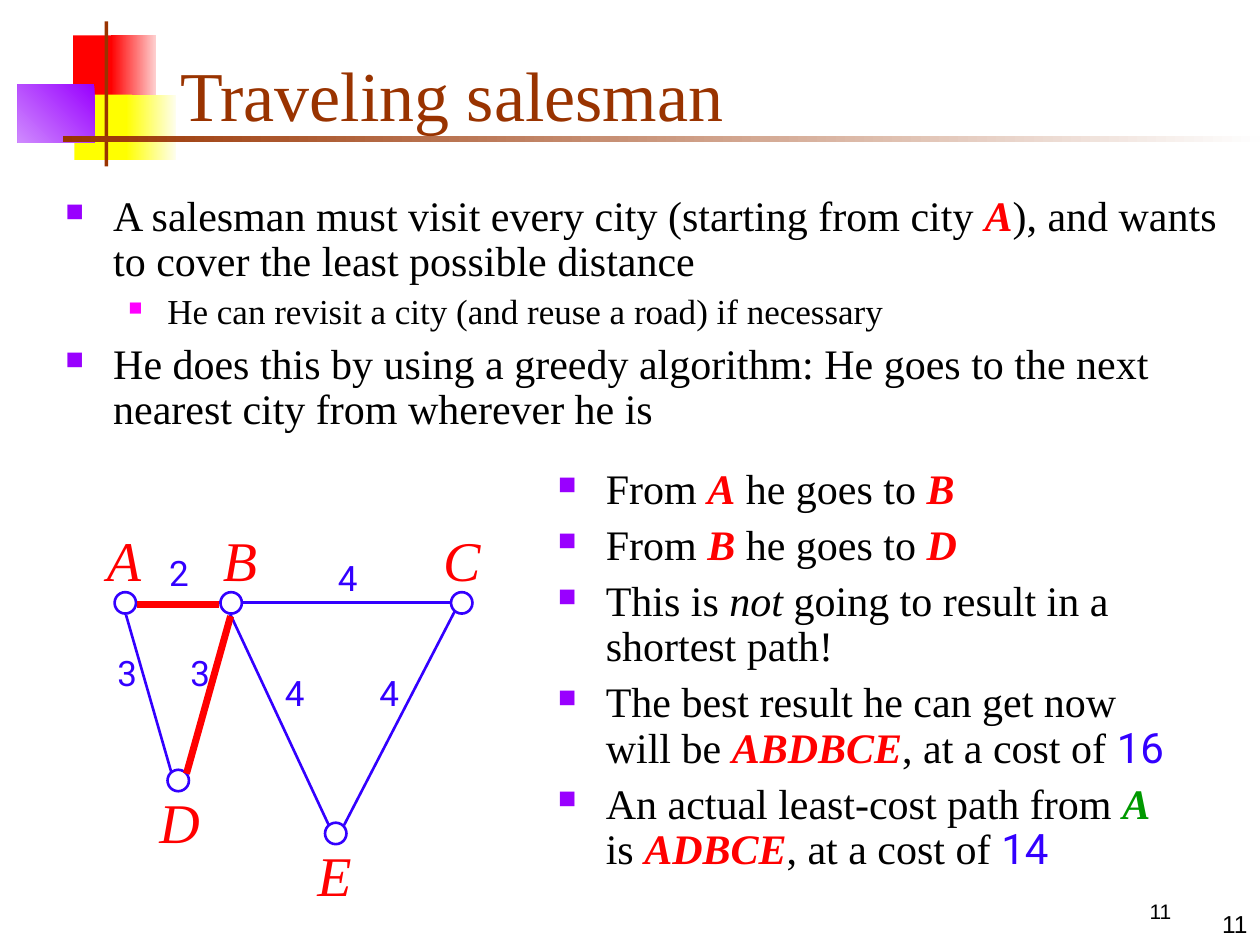
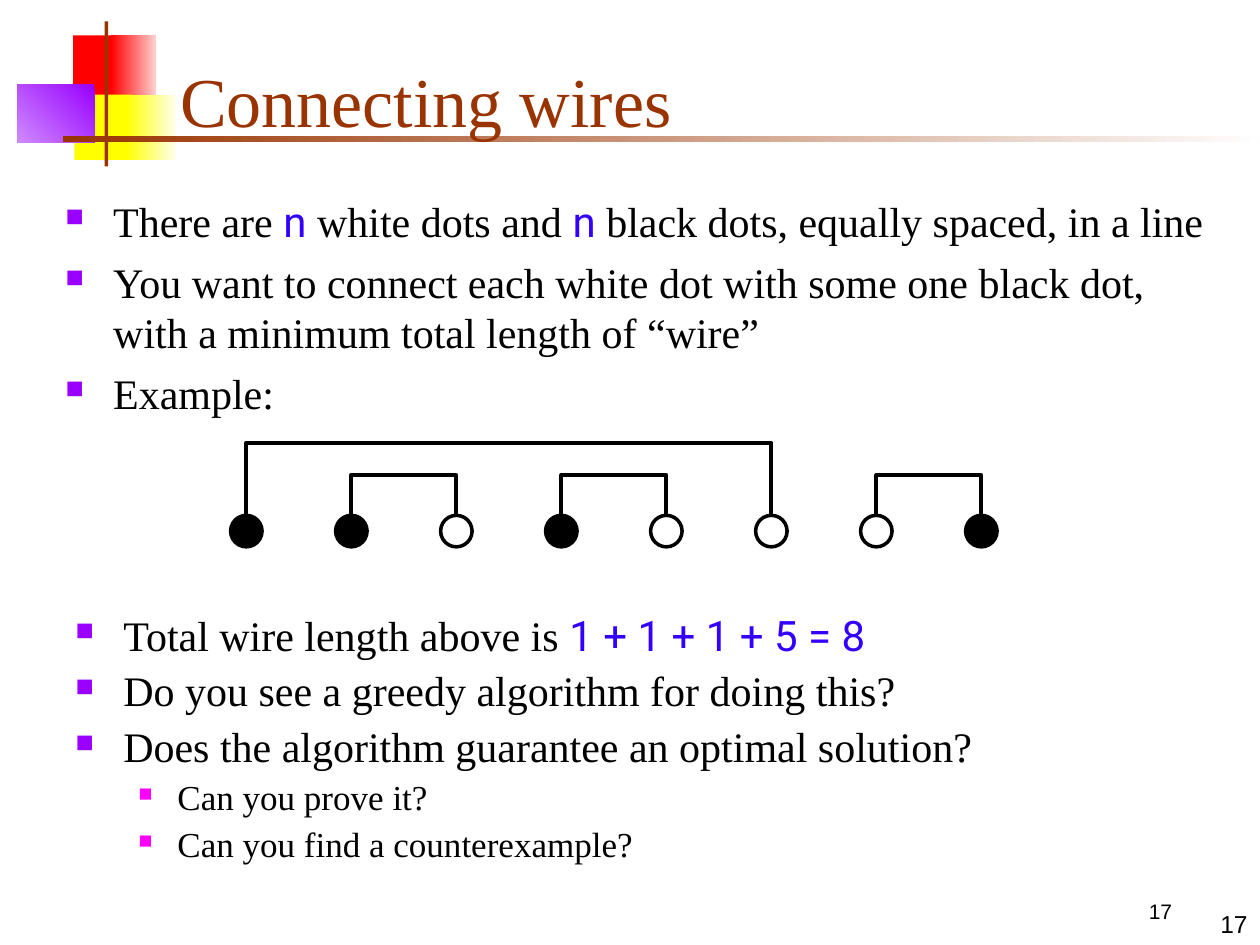
"""Build two lecture slides on greedy algorithms: travelling salesman and connecting wires."""
import pptx
import pptx.util
import pptx.dml.color
import pptx.enum.shapes
import pptx.enum.text
import pptx.oxml
import pptx.oxml.ns
from lxml import etree

Inches, Pt = pptx.util.Inches, pptx.util.Pt
RGB = pptx.dml.color.RGBColor.from_string
SHAPE = pptx.enum.shapes.MSO_SHAPE
CONNECTOR = pptx.enum.shapes.MSO_CONNECTOR
ANCHOR = pptx.enum.text.MSO_ANCHOR
ALIGN = pptx.enum.text.PP_ALIGN
qn = pptx.oxml.ns.qn

COLORS = {
    "black": "000000", "white": "FFFFFF", "brown": "993300", "red": "FF0000",
    "yellow": "FFFF00", "violet": "9900FF", "magenta": "FF00FF", "blue": "3300FF",
    "green": "009900", "pale red": "FED0D0", "pale yellow": "FEFEEF",
    "pale violet": "CF8AFE", "pale grey": "FEFEFE",
}
SERIF, SANS, DIGITS = "Times New Roman", "Arial", "Roboto"
RUN_STYLES = {
    "city": {"color": "red", "bold": True, "italic": True},
    "best": {"color": "green", "bold": True, "italic": True},
    "stress": {"italic": True},
    "number": {"color": "blue", "font": DIGITS},
}
BULLETS = [
    {"size": 24, "indent": 0.38, "hang": 0.38, "before": 6, "color": "violet", "percent": 60},
    {"size": 20, "indent": 0.81, "hang": 0.31, "before": 5, "color": "magenta", "percent": 55},
]
DECORATION = [
    (0.58, 0.28, 0.35, 0.52, "red", None, 0),
    (0.88, 0.28, 0.36, 0.52, "pale red", "red", 180),
    (0.59, 0.75, 0.46, 0.52, "yellow", None, 0),
    (1, 0.75, 0.4, 0.52, "pale yellow", "yellow", 180),
    (0.14, 0.67, 0.61, 0.46, "violet", "pale violet", 225),
    (0.83, 0.17, 0.03, 1.15, "brown", None, 0),
    (0.5, 1.08, 9.5, 0.05, "pale grey", "brown", 180),
]


def write(holder, text, box, size=24, font=SERIF, color="black", italic=False,
          align=ALIGN.LEFT, anchor=ANCHOR.TOP, wrap=True, bulleted=False, spacing=None):
    """Place a text holder and fill it; text is a string or a list of (level, runs)."""
    holder.left, holder.top, holder.width, holder.height = map(Inches, box)
    frame = holder.text_frame
    frame.word_wrap = wrap
    frame.auto_size = pptx.enum.text.MSO_AUTO_SIZE.NONE
    frame.vertical_anchor = anchor
    lines = [(0, [text])] if isinstance(text, str) else text
    for number, (level, runs) in enumerate(lines):
        paragraph = frame.add_paragraph() if number else frame.paragraphs[0]
        paragraph.alignment = align
        paragraph.level = level
        if spacing:
            paragraph.line_spacing = spacing
        if bulleted:
            bullet = BULLETS[level]
            size = bullet["size"]
            paragraph.space_before = Pt(bullet["before"])
            properties = paragraph._p.get_or_add_pPr()
            properties.set("marL", str(Inches(bullet["indent"])))
            properties.set("indent", str(-Inches(bullet["hang"])))
            tint = etree.SubElement(properties, qn("a:buClr"))
            etree.SubElement(tint, qn("a:srgbClr"), val=COLORS[bullet["color"]])
            etree.SubElement(properties, qn("a:buSzPct"), val=str(bullet["percent"] * 1000))
            etree.SubElement(properties, qn("a:buChar"), char="■")
        for piece in runs:
            words, style = (piece, {}) if isinstance(piece, str) else (piece[0], RUN_STYLES[piece[1]])
            run = paragraph.add_run()
            run.text = words
            run.font.size = Pt(size)
            run.font.name = style.get("font", font)
            run.font.bold = style.get("bold", False)
            run.font.italic = style.get("italic", italic)
            run.font.color.rgb = RGB(COLORS[style.get("color", color)])


def connect(slide, kind, ends, color, weight):
    """Draw a shadowless connector between two points and return it."""
    line = slide.shapes.add_connector(kind, *map(Inches, ends))
    line.line.color.rgb = RGB(COLORS[color])
    line.line.width = Pt(weight)
    etree.SubElement(line._element.spPr, qn("a:effectLst"))
    return line


deck = pptx.Presentation()
deck.slide_width, deck.slide_height = Inches(10), Inches(7.5)

slides = []
for heading, page, title_box, title_anchor in [
    ("Traveling salesman", "11", (1.33, 0.33, 8.52, 0.83), ANCHOR.MIDDLE),
    ("Connecting wires", "17", (1.33, 0.25, 8.52, 0.92), ANCHOR.BOTTOM),
]:
    slide = deck.slides.add_slide(deck.slide_layouts[5])
    slides.append(slide)
    for left, top, width, height, start, end, angle in DECORATION:
        block = slide.shapes.add_shape(SHAPE.RECTANGLE, *map(Inches, (left, top, width, height)))
        block.shadow.inherit = False
        block.line.fill.background()
        if end:
            block.fill.gradient()
            block.fill.gradient_angle = angle
            for stop, tone in zip(block.fill.gradient_stops, (start, end)):
                stop.color.rgb = RGB(COLORS[tone])
        else:
            block.fill.solid()
            block.fill.fore_color.rgb = RGB(COLORS[start])
    title = slide.shapes.title
    title._element.getparent().append(title._element)
    write(title, heading, title_box, size=40, color="brown", anchor=title_anchor)
    for box, size, align, anchor in [
        ((8.67, 7.08, 1.08, 0.33), 12, ALIGN.CENTER, ANCHOR.TOP),
        ((7.92, 7, 2.08, 0.5), 14, ALIGN.RIGHT, ANCHOR.BOTTOM),
    ]:
        write(slide.shapes.add_textbox(0, 0, 0, 0), page, box, size=size, font=SANS,
              align=align, anchor=anchor)

salesman, wires = slides

problem = [
    (0, ["A salesman must visit every city (starting from city ", ("A", "city"),
         "), and wants to cover the least possible distance"]),
    (1, ["He can revisit a city (and reuse a road) if necessary"]),
    (0, ["He does this by using a greedy algorithm: He goes to the next nearest city "
         "from wherever he is"]),
]
journey = [
    (0, ["From ", ("A", "city"), " he goes to ", ("B", "city")]),
    (0, ["From ", ("B", "city"), " he goes to ", ("D", "city")]),
    (0, ["This is ", ("not", "stress"), " going to result in a shortest path!"]),
    (0, ["The best result he can get now will be ", ("ABDBCE", "city"), ", at a cost of ",
         ("16", "number")]),
    (0, ["An actual least-cost path from ", ("A", "best"), " is ", ("ADBCE", "city"),
         ", at a cost of ", ("14", "number")]),
]
task = [
    (0, ["There are ", ("n", "number"), " white dots and ", ("n", "number"),
         " black dots, equally spaced, in a line"]),
    (0, ["You want to connect each white dot with some one black dot, "
         "with a minimum total length of “wire”"]),
    (0, ["Example:"]),
]
questions = [
    (0, ["Total wire length above is ", ("1 + 1 + 1 + 5 = 8", "number")]),
    (0, ["Do you see a greedy algorithm for doing this?"]),
    (0, ["Does the algorithm guarantee an optimal solution?"]),
    (1, ["Can you prove it?"]),
    (1, ["Can you find a counterexample?"]),
]
for slide, points, box, spacing in [
    (salesman, problem, (0.42, 1.5, 9.38, 2.15), 0.9),
    (salesman, journey, (4.33, 3.67, 5.17, 3.5), 0.9),
    (wires, task, (0.42, 1.5, 9.38, 2.15), None),
    (wires, questions, (0.5, 4.83, 8.75, 2.25), 0.9),
]:
    write(slide.shapes.add_textbox(0, 0, 0, 0), points, box, bulleted=True, spacing=spacing)

for city, x, y, label_x, label_y in [
    ("A", 0.91, 4.7, 0.75, 4.12),
    ("B", 1.75, 4.7, 1.67, 4.12),
    ("C", 3.58, 4.7, 3.43, 4.12),
    ("D", 1.33, 6.11, 1.19, 6.2),
    ("E", 2.58, 6.53, 2.42, 6.62),
]:
    node = salesman.shapes.add_shape(SHAPE.OVAL, *map(Inches, (x, y, 0.17, 0.17)))
    node.shadow.inherit = False
    node.fill.background()
    node.line.color.rgb = RGB(COLORS["blue"])
    node.line.width = Pt(1.5)
    write(salesman.shapes.add_textbox(0, 0, 0, 0), city, (label_x, label_y, 0.47, 0.63), size=32,
          color="red", italic=True, align=ALIGN.CENTER, anchor=ANCHOR.MIDDLE, wrap=False)

for road, distance, label_x, label_y in [
    ((1.09, 4.78, 1.75, 4.78), "2", 1.24, 4.33),
    ((1, 4.88, 1.36, 6.13), "3", 0.83, 5.12),
    ((1.83, 4.88, 1.48, 6.13), "3", 1.41, 5.12),
    ((1.93, 4.78, 3.57, 4.78), "4", 2.58, 4.37),
    ((1.83, 4.88, 2.61, 6.55), "4", 2.16, 5.28),
    ((3.61, 4.85, 2.73, 6.55), "4", 2.91, 5.28),
]:
    connect(salesman, CONNECTOR.STRAIGHT, road, "blue", 1.5)
    write(salesman.shapes.add_textbox(0, 0, 0, 0), distance, (label_x, label_y, 0.36, 0.43), size=20,
          font=DIGITS, color="blue", align=ALIGN.CENTER, anchor=ANCHOR.MIDDLE, wrap=False)

for greedy_step in [(1.09, 4.8, 1.74, 4.8), (1.83, 4.89, 1.48, 6.14)]:
    connect(salesman, CONNECTOR.STRAIGHT, greedy_step, "red", 4)

dot_size, first_dot, dot_top = 0.25, 1.83, 4.09
dot_gap = 5 / 6
for position, tone in enumerate(
        ["black", "black", "white", "black", "white", "white", "white", "black"]):
    dot = wires.shapes.add_shape(
        SHAPE.OVAL, Inches(first_dot + position * dot_gap), Inches(dot_top),
        Inches(dot_size), Inches(dot_size))
    dot.shadow.inherit = False
    dot.fill.solid()
    dot.fill.fore_color.rgb = RGB(COLORS[tone])
    dot.line.color.rgb = RGB(COLORS["black"])
    dot.line.width = Pt(2)

sliver = 0.01
for first, last, rise in [(6, 7, 0.32), (1, 2, 0.32), (3, 4, 0.32), (0, 5, 0.58)]:
    span = (last - first) * dot_gap
    middle = first_dot + dot_size / 2 + (first + last) / 2 * dot_gap
    top = dot_top - span / 2
    wire = connect(wires, CONNECTOR.ELBOW,
                   (middle - sliver / 2, top, middle + sliver / 2, top + span), "black", 2.25)
    transform = wire._element.spPr.find(qn("a:xfrm"))
    transform.set("rot", str(270 * 60000))
    transform.set("flipH", "1")
    adjustments = wire._element.spPr.find(qn("a:prstGeom")).get_or_add_avLst()
    etree.SubElement(adjustments, qn("a:gd"), name="adj1",
                     fmla=f"val {round(-rise / sliver * 100000)}")

deck.save("out.pptx")
